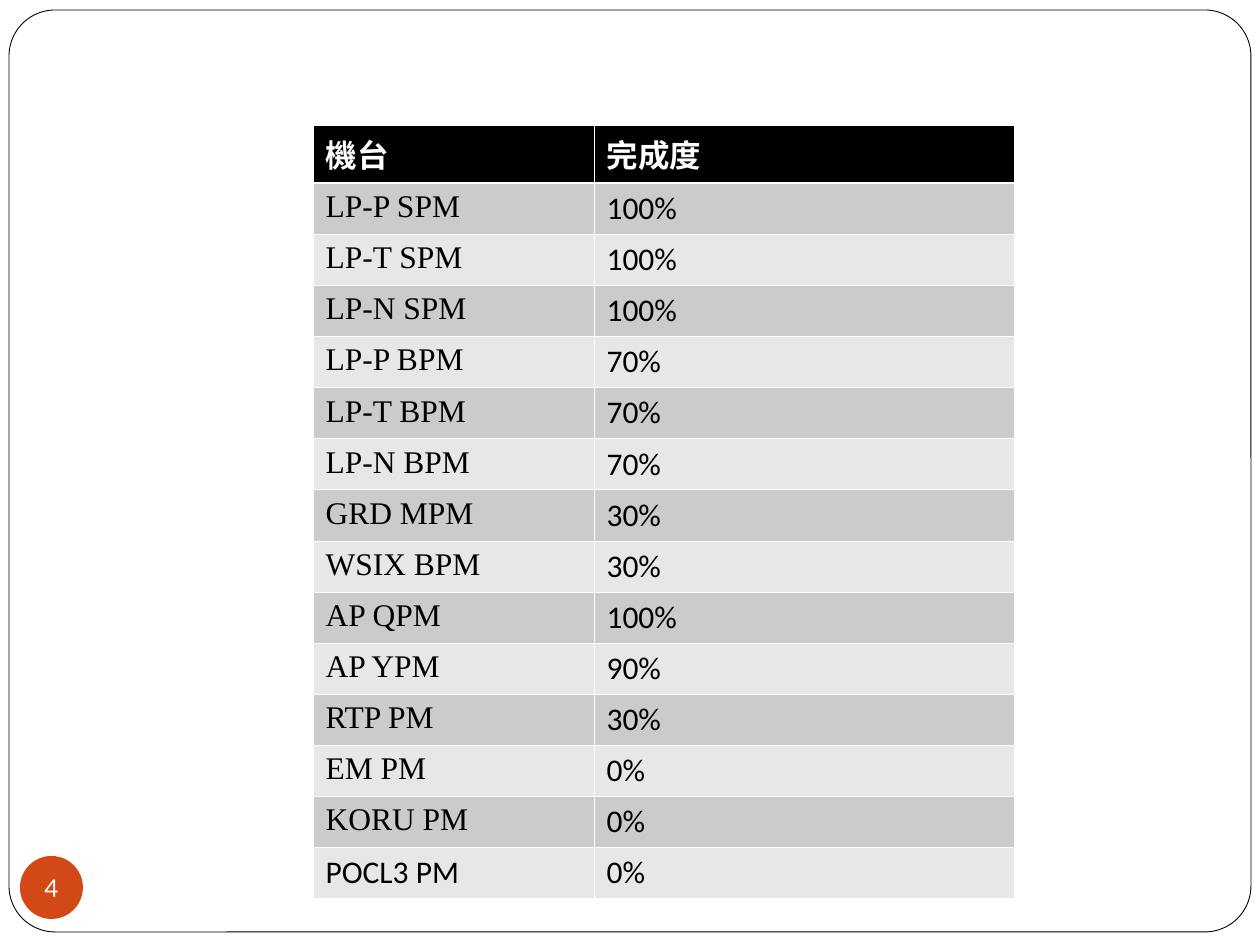
from dataclasses import dataclass

from lxml import etree
from pptx import Presentation
from pptx.dml.color import RGBColor
from pptx.enum.shapes import MSO_SHAPE
from pptx.enum.text import MSO_ANCHOR, PP_ALIGN
from pptx.oxml.ns import qn
from pptx.util import Emu, Pt

ROUNDED = MSO_SHAPE.ROUNDED_RECTANGLE
OVAL = MSO_SHAPE.OVAL
MIDDLE = MSO_ANCHOR.MIDDLE
CENTER = PP_ALIGN.CENTER

PX_PER_INCH = 126
SLIDE_WIDTH, SLIDE_HEIGHT = 1260, 945

HEADINGS = ("機台", "完成度")
MACHINES = [
    ("LP-P SPM", "100%"),
    ("LP-T SPM", "100%"),
    ("LP-N SPM", "100%"),
    ("LP-P BPM", "70%"),
    ("LP-T BPM", "70%"),
    ("LP-N BPM", "70%"),
    ("GRD MPM", "30%"),
    ("WSIX BPM", "30%"),
    ("AP QPM", "100%"),
    ("AP YPM", "90%"),
    ("RTP PM", "30%"),
    ("EM PM", "0%"),
    ("KORU PM", "0%"),
    ("POCL3 PM", "0%"),
]


@dataclass(frozen=True)
class Theme:
    white: str = "FFFFFF"
    black: str = "000000"
    accent: str = "D34817"
    bands: tuple = ("CBCBCB", "E7E7E7")
    body_font: str = "Calibri"
    name_font: str = "Times New Roman"
    number_font: str = "Lato"
    body_size: int = 18
    number_size: int = 14
    frame_line: float = 0.5
    grid_line: float = 0.45
    header_line: float = 1.47


def px(length):
    return Emu(round(length * 914400 / PX_PER_INCH))


class SlideBuilder:
    def __init__(self, slide, theme):
        self.slide = slide
        self.theme = theme

    def add_run(self, paragraph, text, font, size, color, bold=False):
        run = paragraph.add_run()
        run.text = text
        run.font.name = font
        run.font.size = Pt(size)
        run.font.bold = bold
        run.font.color.rgb = RGBColor.from_string(color)

    def add_shape(self, kind, left, top, width, height, fill):
        shape = self.slide.shapes.add_shape(kind, px(left), px(top), px(width), px(height))
        shape.shadow.inherit = False
        shape.fill.solid()
        shape.fill.fore_color.rgb = RGBColor.from_string(fill)
        shape.line.fill.background()
        return shape

    def add_frame(self, left, top, width, height):
        shape = self.add_shape(ROUNDED, left, top, width, height, self.theme.white)
        shape.adjustments[0] = 0.05
        shape.line.color.rgb = RGBColor.from_string(self.theme.black)
        shape.line.width = Pt(self.theme.frame_line)

    def add_page_number(self, left, top, diameter, number):
        shape = self.add_shape(OVAL, left, top, diameter, diameter, self.theme.accent)
        frame = shape.text_frame
        frame.margin_left = frame.margin_right = frame.margin_top = frame.margin_bottom = 0
        frame.word_wrap = False
        frame.vertical_anchor = MIDDLE
        paragraph = frame.paragraphs[0]
        paragraph.alignment = CENTER
        self.add_run(paragraph, number, self.theme.number_font,
                     self.theme.number_size, self.theme.white)

    def style_cell(self, cell, fill, top_line, bottom_line):
        # Borders come before the fill in the cell properties
        properties = cell._tc.get_or_add_tcPr()
        side = self.theme.grid_line
        for tag, width in (("a:lnL", side), ("a:lnR", side),
                           ("a:lnT", top_line), ("a:lnB", bottom_line)):
            line = etree.SubElement(properties, qn(tag), w=str(int(Pt(width))))
            solid = etree.SubElement(line, qn("a:solidFill"))
            etree.SubElement(solid, qn("a:srgbClr"), val=self.theme.white)
        cell.fill.solid()
        cell.fill.fore_color.rgb = RGBColor.from_string(fill)

    def add_table(self, left, top, column_widths, row_height, headings, rows):
        theme = self.theme
        records = [headings, *rows]
        table = self.slide.shapes.add_table(
            len(records), len(headings), px(left), px(top),
            px(sum(column_widths)), px(row_height * len(records))).table
        table.first_row = table.horz_banding = False
        for column, width in zip(table.columns, column_widths):
            column.width = px(width)
        for row_index, record in enumerate(records):
            table.rows[row_index].height = px(row_height)
            header = row_index == 0
            last = row_index == len(records) - 1
            fill = theme.black if header else theme.bands[(row_index - 1) % 2]
            color = theme.white if header else theme.black
            top_line = theme.header_line if row_index == 1 else theme.grid_line
            bottom_line = theme.header_line if header else theme.grid_line
            for column_index, text in enumerate(record):
                cell = table.cell(row_index, column_index)
                self.style_cell(cell, fill, top_line, bottom_line)
                # Machine names are in serif, apart from the last row
                serif = column_index == 0 and not header and not last
                font = theme.name_font if serif else theme.body_font
                self.add_run(cell.text_frame.paragraphs[0], text, font,
                             theme.body_size, color, header)


def main():
    presentation = Presentation()
    presentation.slide_width = px(SLIDE_WIDTH)
    presentation.slide_height = px(SLIDE_HEIGHT)
    slide = presentation.slides.add_slide(presentation.slide_layouts[6])
    builder = SlideBuilder(slide, Theme())

    # Page frame and number
    builder.add_frame(9, 10, 1242, 922)
    builder.add_page_number(20, 856, 63, "4")

    # Completion of each machine
    builder.add_table(313, 125, (281, 420), 51, HEADINGS, MACHINES)

    presentation.save("out.pptx")


if __name__ == "__main__":
    main()
